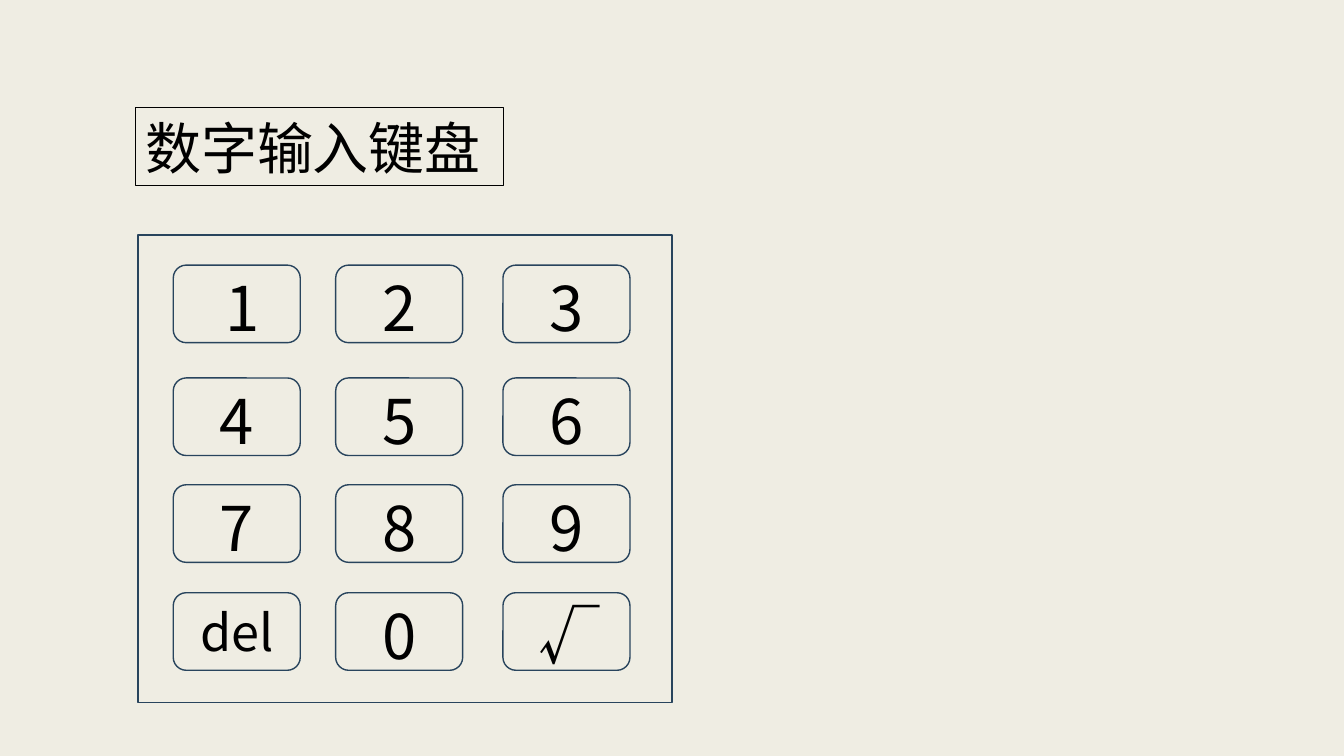
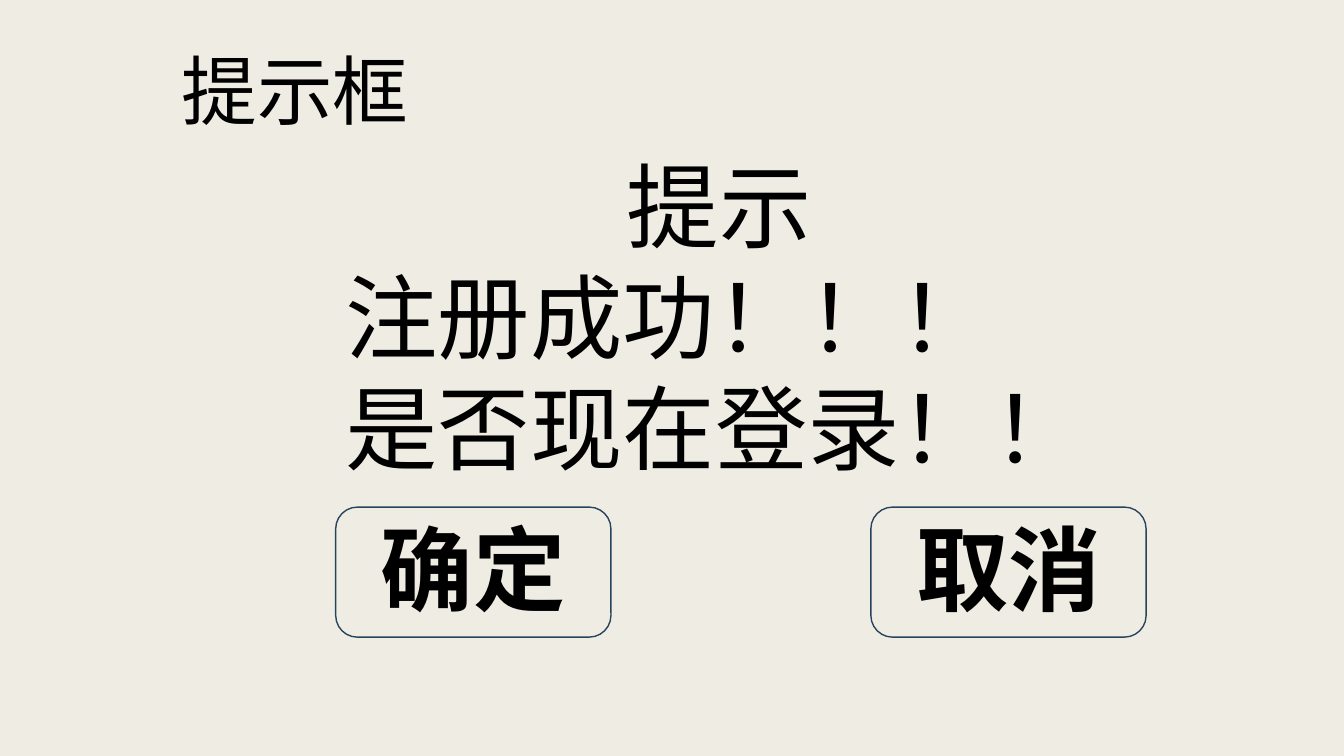
from pptx import Presentation
from pptx.dml.color import RGBColor
from pptx.enum.shapes import MSO_SHAPE
from pptx.enum.text import MSO_ANCHOR, MSO_AUTO_SIZE, PP_ALIGN
from pptx.oxml.ns import qn
from pptx.util import Pt
from lxml.etree import SubElement

PAPER, INK, NAVY = "EFEDE3", "000000", "28445D"
FONT = "Noto Sans CJK JP"
TITLE_ONLY = 5

KEYPAD_TITLE = "数字输入键盘"
KEYPAD_PANEL = (98.6, 167.8, 381.6, 334)
KEY_ROWS = [("1", "2", "3"), ("4", "5", "6"), ("7", "8", "9"), ("del", "0", "√")]
KEY_LEFTS = (123.8, 239.8, 359.3)
KEY_TOPS = (189.4, 270, 346.3, 423.4)
KEY_SIZE = (90.7, 55.4)
KEY_FONT_SIZES = {"del": 36}
KEY_SHIFTS = {"1": (4, 2.3), "del": (0, 0), "√": (2, 2.3)}

PROMPT_TITLE = "提示框"
PROMPT_LINES = [
    ("提示", PP_ALIGN.CENTER),
    ("注册成功！！！", PP_ALIGN.LEFT),
    ("是否现在登录！！", PP_ALIGN.LEFT),
]
PROMPT_BUTTONS = [("确定", 239.8), ("取消", 622.1)]
BUTTON_TOP, BUTTON_SIZE = 362.2, (196.6, 92.9)


def color(hex_string):
    return RGBColor.from_string(hex_string)


def add_run(para, text, size, bold=False):
    span = para.add_run()
    span.text = text
    font = span.font
    font.size, font.bold, font.name = Pt(size), bold, FONT
    font.color.rgb = color(INK)
    SubElement(span._r.get_or_add_rPr(), qn("a:ea"), typeface=FONT)


def add_outline(page, kind, bounds):
    shape = page.shapes.add_shape(kind, *map(Pt, bounds))
    shape.shadow.inherit = False
    shape.fill.background()
    shape.line.color.rgb = color(NAVY)
    shape.line.width = Pt(1)
    return shape


def add_button(page, bounds, label, size, bold=False, shift=(0, 0)):
    """Add a rounded button whose label sits off centre by shift (right, down)."""
    button = add_outline(page, MSO_SHAPE.ROUNDED_RECTANGLE, bounds)
    frame = button.text_frame
    frame.word_wrap = True
    frame.vertical_anchor = MSO_ANCHOR.MIDDLE
    right, down = shift
    frame.margin_left, frame.margin_right = Pt(2 * right), 0
    frame.margin_top = Pt(max(0, 2 * down))
    frame.margin_bottom = Pt(max(0, -2 * down))
    para = frame.paragraphs[0]
    para.alignment = PP_ALIGN.CENTER
    add_run(para, label, size, bold)


def add_titled_page(deck, text, bounds, size):
    page = deck.slides.add_slide(deck.slide_layouts[TITLE_ONLY])
    title = page.shapes.title
    title.left, title.top, title.width, title.height = map(Pt, bounds)
    frame = title.text_frame
    frame.word_wrap = True
    frame.auto_size = MSO_AUTO_SIZE.NONE
    frame.vertical_anchor = MSO_ANCHOR.MIDDLE
    para = frame.paragraphs[0]
    para.alignment = PP_ALIGN.LEFT
    add_run(para, text, size)
    return page


def add_keypad_page(deck):
    page = add_titled_page(deck, KEYPAD_TITLE, (96.5, 77, 263.5, 55.5), 40)
    border = page.shapes.title.line
    border.color.rgb = color(INK)
    border.width = Pt(0.75)
    add_outline(page, MSO_SHAPE.RECTANGLE, KEYPAD_PANEL)
    for top, labels in zip(KEY_TOPS, KEY_ROWS):
        for left, label in zip(KEY_LEFTS, labels):
            add_button(page, (left, top, *KEY_SIZE), label,
                       KEY_FONT_SIZES.get(label, 44),
                       shift=KEY_SHIFTS.get(label, (0, 2.3)))


def add_prompt_page(deck):
    page = add_titled_page(deck, PROMPT_TITLE, (122.4, 27.4, 177.8, 72.7), 54)
    message = page.shapes.add_textbox(Pt(239.8), Pt(103), Pt(548), Pt(247))
    frame = message.text_frame
    frame.word_wrap = True
    for index, (text, alignment) in enumerate(PROMPT_LINES):
        para = frame.add_paragraph() if index else frame.paragraphs[0]
        para.alignment = alignment
        add_run(para, text, 66)
    for label, left in PROMPT_BUTTONS:
        add_button(page, (left, BUTTON_TOP, *BUTTON_SIZE), label, 66,
                   bold=True, shift=(0, -3.2))


def main():
    deck = Presentation()
    deck.slide_width, deck.slide_height = Pt(960), Pt(540)
    backdrop = deck.slide_master.background.fill
    backdrop.solid()
    backdrop.fore_color.rgb = color(PAPER)
    add_keypad_page(deck)
    add_prompt_page(deck)
    deck.save("out.pptx")


if __name__ == "__main__":
    main()
